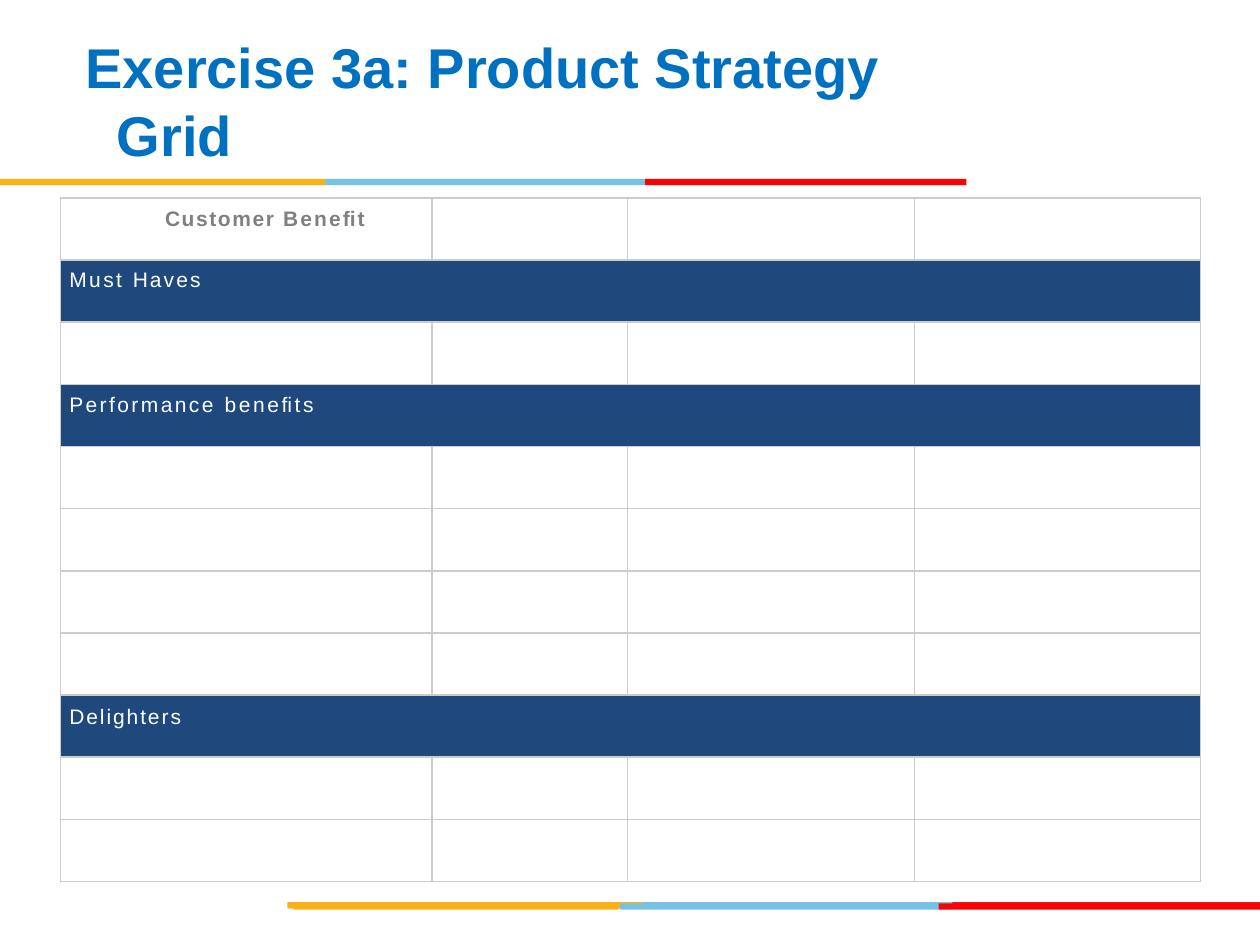
from dataclasses import dataclass
from typing import NamedTuple

from lxml.etree import SubElement
from pptx import Presentation
from pptx.dml.color import RGBColor as Rgb
from pptx.enum.shapes import MSO_SHAPE as Shape
from pptx.enum.text import MSO_ANCHOR as Anchor
from pptx.oxml.ns import qn
from pptx.util import Inches, Pt


@dataclass(frozen=True)
class Theme:
    font: str = "Arial"
    title: str = "0070C0"
    head: str = "808080"
    white: str = "FFFFFF"
    navy: str = "1F497D"
    rule: str = "CCCCCC"
    gold: str = "FCB017"
    sky: str = "76C2E5"
    red: str = "FF0000"
    brick: str = "E31C24"
    big: int = 32
    small: int = 12


class Bar(NamedTuple):
    left: float
    width: float
    color: str


class Stripe(NamedTuple):
    top: float
    bars: list[Bar]


class Word(NamedTuple):
    text: str
    space: float = 0


class Label(NamedTuple):
    row: int
    words: list[Word]
    top: float
    before: float


T = Theme()
BAR_H = 0.05
STRIPES = [
    Stripe(7.16, [Bar(5.06, 2.55, T.sky), Bar(7.56, 2.44, T.brick),
                  Bar(2.28, 2.82, T.gold)]),
    Stripe(7.17, [Bar(4.92, 2.55, T.sky), Bar(2.33, 2.58, T.gold),
                  Bar(7.45, 2.55, T.red)]),
    Stripe(1.42, [Bar(2.58, 2.55, T.sky), Bar(0, 2.58, T.gold),
                  Bar(5.12, 2.55, T.red)]),
]
LEFT, TOP, HIGH, ROWS = 0.48, 1.57, 5.43, 11
COLS = [2.95, 1.55, 2.28, 2.27]
HEAD = Label(0, [Word("Customer ", 0.9), Word("Beneﬁt", 1.2)], 0.08, 5.9)
BANDS = [
    Label(1, [Word("Must ", 1.4), Word("Haves", 1.2)], 0.07, 5.4),
    Label(3, [Word("Performance ", 1.4), Word("beneﬁts", 1.5)], 0.07, 5.4),
    Label(8, [Word("Delighters", 1.1)], 0.08, 5.9),
]


def put_text(frame, words: list[Word], *, size: int, color: str,
             bold: bool = False, left: float = 0, hang: float = 0,
             before: float = 0) -> None:
    para = frame.paragraphs[0]
    para.space_before = Pt(before)
    props = para._p.get_or_add_pPr()
    props.set("marL", str(Inches(left)))
    props.set("indent", str(Inches(hang)))
    for word in words:
        run = para.add_run()
        run.text = word.text
        font = run.font
        font.name, font.size, font.bold = T.font, Pt(size), bold
        font.color.rgb = Rgb.from_string(color)
        if word.space:
            run._r.get_or_add_rPr().set("spc", str(round(word.space * 100)))


def draw_bar(slide, top: float, bar: Bar) -> None:
    box = slide.shapes.add_shape(Shape.RECTANGLE, Inches(bar.left), Inches(top),
                                 Inches(bar.width), Inches(BAR_H))
    box.shadow.inherit = False
    box.fill.solid()
    box.fill.fore_color.rgb = Rgb.from_string(bar.color)
    box.line.fill.background()


def draw_title(slide) -> None:
    box = slide.shapes.add_textbox(Inches(0.33), Inches(0.17),
                                   Inches(6.92), Inches(1.25))
    frame = box.text_frame
    frame.word_wrap = True
    frame.vertical_anchor = Anchor.MIDDLE
    put_text(frame, [Word("Exercise 3a: Product Strategy Grid")], size=T.big,
             color=T.title, bold=True, left=0.5, hang=-0.25)


def set_edges(cell) -> None:
    props = cell._tc.get_or_add_tcPr()
    for side in "LRTB":
        line = SubElement(props, qn(f"a:ln{side}"), w=str(Pt(1)))
        fill = SubElement(line, qn("a:solidFill"))
        SubElement(fill, qn("a:srgbClr"), val=T.rule)


def fill_label(grid, label: Label, **form) -> None:
    cell = grid.cell(label.row, 0)
    cell.margin_left = cell.margin_right = cell.margin_bottom = 0
    cell.margin_top = Inches(label.top)
    put_text(cell.text_frame, label.words, size=T.small,
             before=label.before, **form)


def draw_grid(slide) -> None:
    grid = slide.shapes.add_table(ROWS, len(COLS), Inches(LEFT), Inches(TOP),
                                  Inches(sum(COLS)), Inches(HIGH)).table
    grid.first_row = grid.horz_banding = False
    for col, width in zip(grid.columns, COLS):
        col.width = Inches(width)
    for cell in grid.iter_cells():
        set_edges(cell)
        cell.fill.background()
    fill_label(grid, HEAD, color=T.head, bold=True, left=0.83)
    for band in BANDS:
        first = grid.cell(band.row, 0)
        first.merge(grid.cell(band.row, len(COLS) - 1))
        first.fill.solid()
        first.fill.fore_color.rgb = Rgb.from_string(T.navy)
        fill_label(grid, band, color=T.white, left=0.07)


def main() -> None:
    deck = Presentation()
    deck.slide_width, deck.slide_height = Inches(10), Inches(7.5)
    slide = deck.slides.add_slide(deck.slide_layouts[6])
    for stripe in STRIPES:
        for bar in stripe.bars:
            draw_bar(slide, stripe.top, bar)
    draw_title(slide)
    draw_grid(slide)
    deck.save("out.pptx")


if __name__ == "__main__":
    main()
